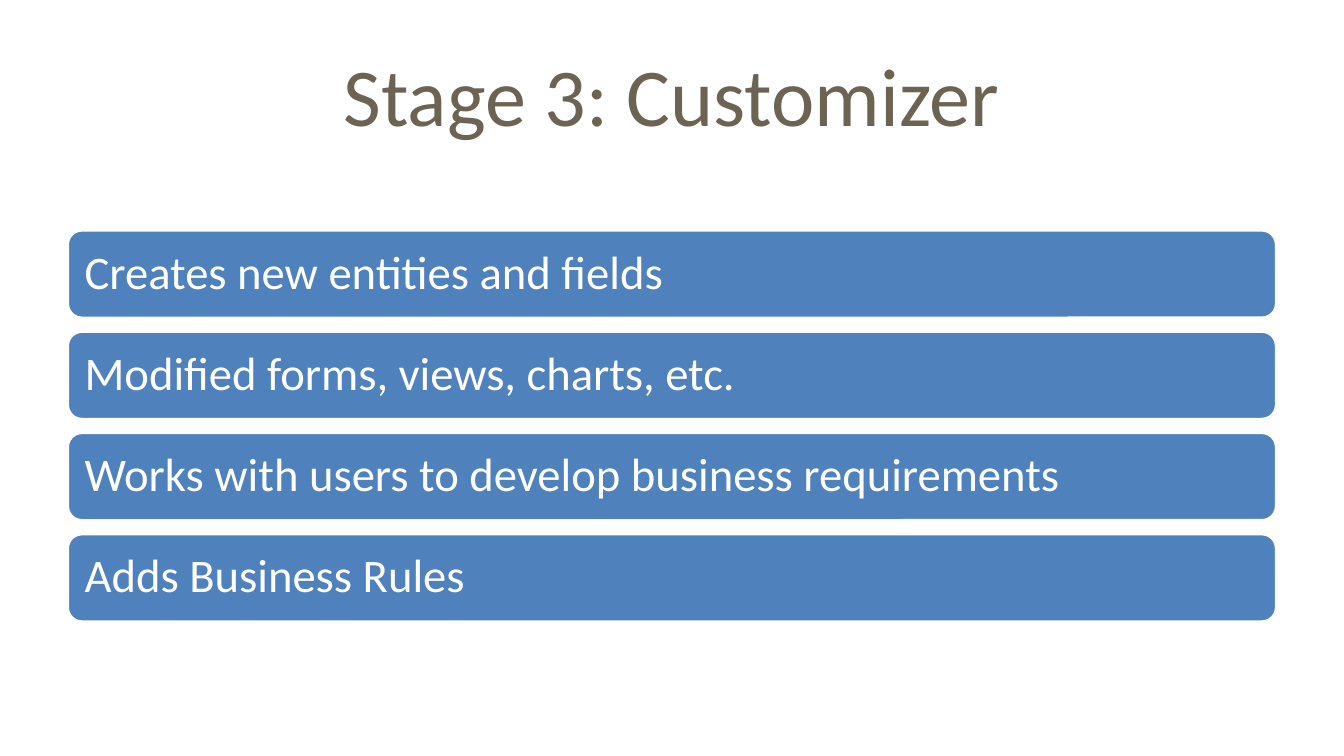
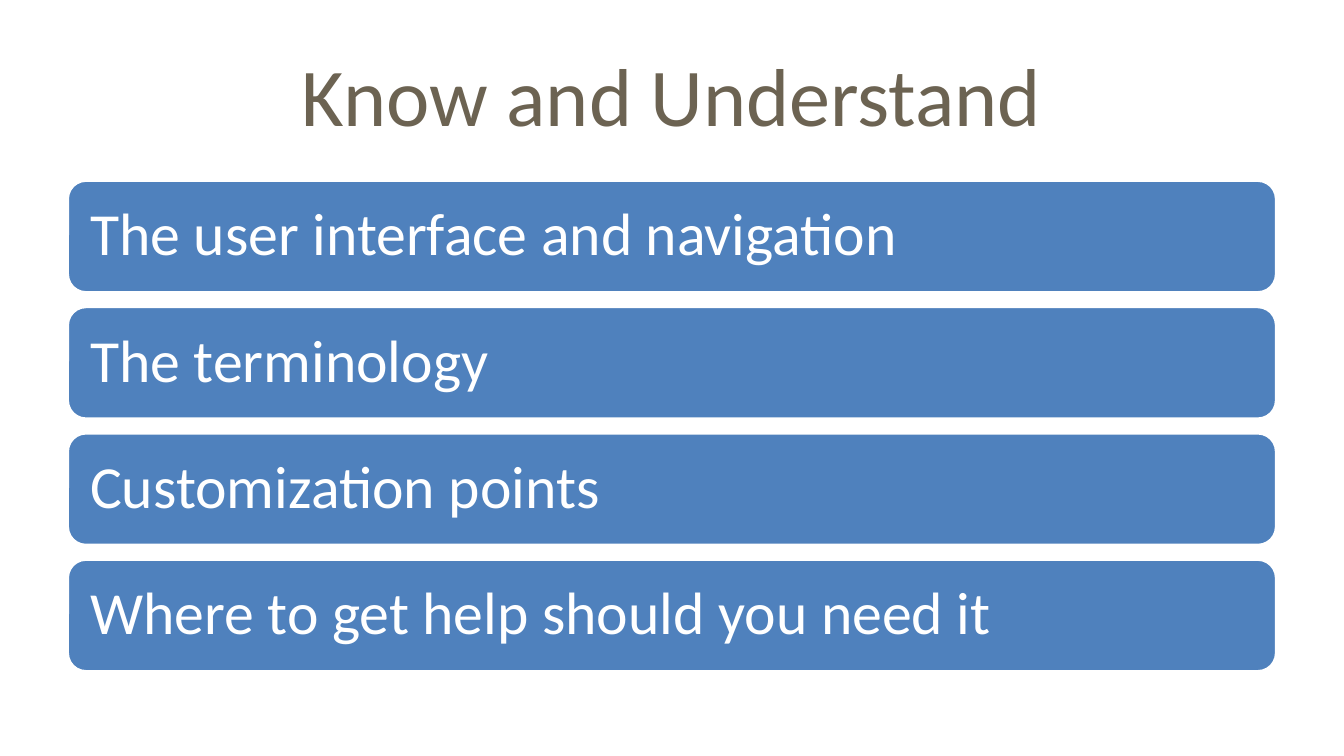
import pptx
import pptx.util
import pptx.dml.color
import pptx.enum.shapes
import pptx.enum.text

Inches, Pt = pptx.util.Inches, pptx.util.Pt
RGB = pptx.dml.color.RGBColor.from_string
PP_ALIGN = pptx.enum.text.PP_ALIGN

COLORS = {"title": "6C6352", "bar": "4F81BD", "white": "FFFFFF"}
FONT = "Calibri"
LEFT, WIDTH = 0.5, 9

slides = [
    {
        "title": "Stage 3: Customizer",
        "first": 1.71, "last": 3.97, "height": 0.66, "inset": 0.1, "size": 25,
        "bars": [
            "Creates new entities and fields",
            "Modified forms, views, charts, etc.",
            "Works with users to develop business requirements",
            "Adds Business Rules",
        ],
    },
    {
        "title": "Know and Understand",
        "first": 1.34, "last": 4.16, "height": 0.84, "inset": 0.13, "size": 32,
        "bars": [
            "The user interface and navigation",
            "The terminology",
            "Customization points",
            "Where to get help should you need it",
        ],
    },
]


def write(sp, text, size, color, align, inset):
    """Put one vertically centred line of text in a shape."""
    tf = sp.text_frame
    tf.word_wrap = True
    tf.vertical_anchor = pptx.enum.text.MSO_ANCHOR.MIDDLE
    for side in ("left", "top", "right", "bottom"):
        setattr(tf, "margin_" + side, Inches(inset))
    p = tf.paragraphs[0]
    p.alignment = align
    r = p.add_run()
    r.text = text
    font = {"name": FONT, "size": Pt(size)}
    for name, value in font.items():
        setattr(r.font, name, value)
    r.font.color.rgb = RGB(COLORS[color])
    return p


# 16:9 page
prs = pptx.Presentation()
prs.slide_width = Inches(10)
prs.slide_height = Inches(10 * 9 / 16)

for content in slides:
    s = prs.slides.add_slide(prs.slide_layouts[6])

    # Title
    sp = s.shapes.add_textbox(Inches(LEFT), Inches(0.23), Inches(WIDTH), Inches(0.94))
    write(sp, content["title"], 44, "title", PP_ALIGN.CENTER, 0.05)

    # Evenly stacked bars
    bars = content["bars"]
    pitch = (content["last"] - content["first"]) / (len(bars) - 1)
    for i, text in enumerate(bars):
        sp = s.shapes.add_shape(
            pptx.enum.shapes.MSO_SHAPE.ROUNDED_RECTANGLE,
            Inches(LEFT), Inches(content["first"] + i * pitch),
            Inches(WIDTH), Inches(content["height"]))
        sp.shadow.inherit = False
        sp.fill.solid()
        sp.fill.fore_color.rgb = RGB(COLORS["bar"])
        sp.line.color.rgb = RGB(COLORS["white"])
        sp.line.width = Pt(2)
        p = write(sp, text, content["size"], "white", PP_ALIGN.LEFT, content["inset"])
        p.line_spacing = 0.9

prs.save("out.pptx")
